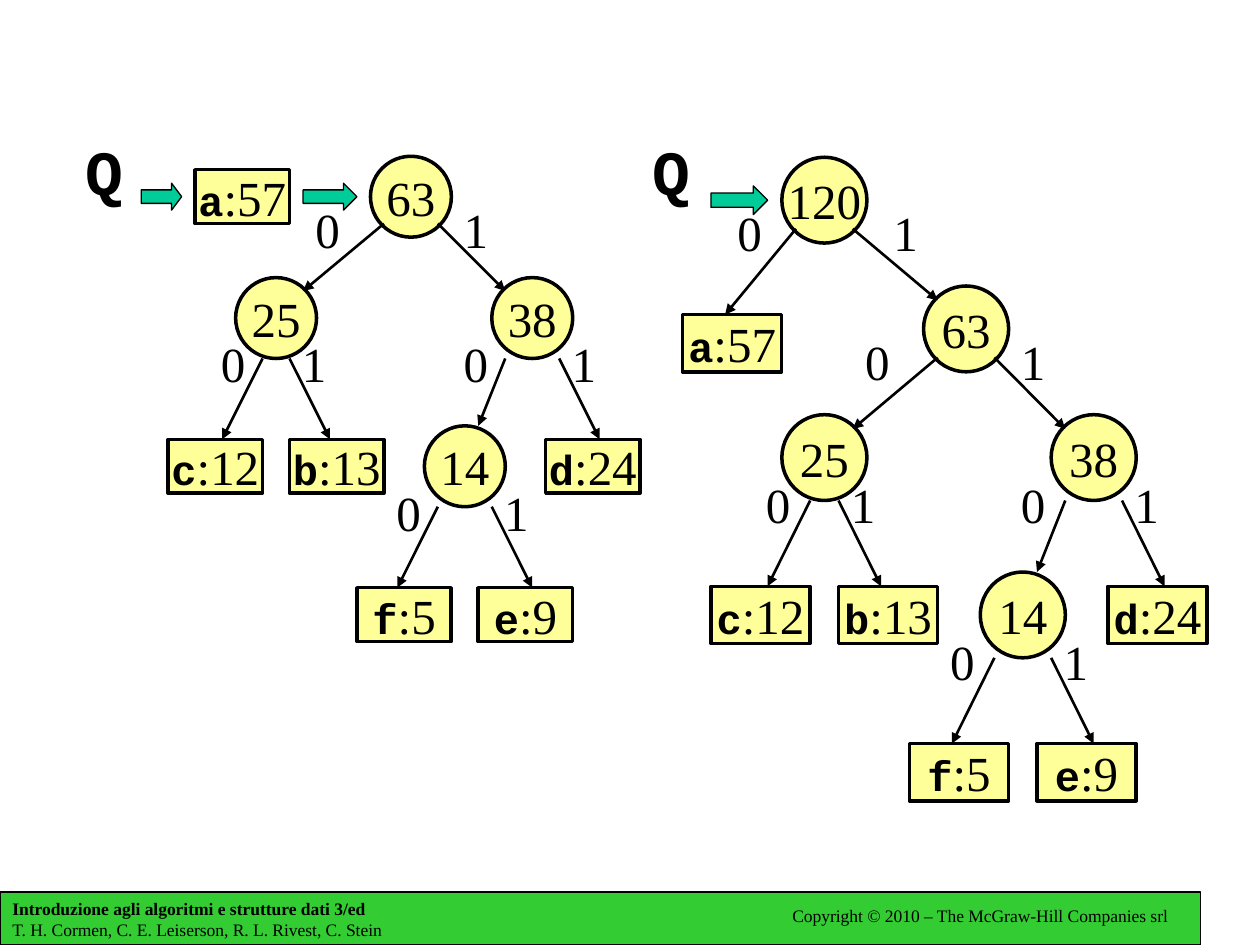
import pptx
import pptx.util
import pptx.dml.color
import pptx.enum.shapes
import pptx.enum.text
import lxml.etree
from dataclasses import dataclass

SHAPE = pptx.enum.shapes.MSO_SHAPE
ALIGN = pptx.enum.text.PP_ALIGN
ANCHOR = pptx.enum.text.MSO_ANCHOR
SERIF, MONO = "Times New Roman", "Courier New"
BLACK, YELLOW, TEAL, GREEN = "000000", "FFFF99", "00CC99", "33CC33"


@dataclass
class Grid:
    """Cell grid whose origin is the top left corner of the node 63."""
    left: float
    top: float
    col: float
    row: float

    def at(self, col, row):
        return self.left + col * self.col, self.top + row * self.row

    def box(self, col, row, cols, rows):
        return *self.at(col, row), cols * self.col, rows * self.row


def rgb(value):
    return pptx.dml.color.RGBColor.from_string(value)


def inches(values):
    return [pptx.util.Inches(v) for v in values]


def set_font(font, size, name=SERIF, bold=False):
    font.size, font.name, font.bold = pptx.util.Pt(size), name, bold
    font.color.rgb = rgb(BLACK)


def add_shape(s, kind, box, fill, line_width):
    sp = s.shapes.add_shape(kind, *inches(box))
    sp.shadow.inherit = False
    sp.fill.solid()
    sp.fill.fore_color.rgb = rgb(fill)
    sp.line.color.rgb = rgb(BLACK)
    sp.line.width = pptx.util.Pt(line_width)
    return sp


def centred_paragraph(sp):
    tf = sp.text_frame
    tf.word_wrap = False
    tf.vertical_anchor = ANCHOR.MIDDLE
    p = tf.paragraphs[0]
    p.alignment = ALIGN.CENTER
    return p


def add_node(s, grid, col, row, text):
    sp = add_shape(s, SHAPE.OVAL, grid.box(col, row, 6, 6), YELLOW, 2)
    p = centred_paragraph(sp)
    p.text = text
    set_font(p.font, 28)


def add_leaf(s, grid, col, row, letter, count):
    sp = add_shape(s, SHAPE.RECTANGLE, grid.box(col, row, 7, 4), YELLOW, 2)
    p = centred_paragraph(sp)
    for text, style in ((letter, (24, MONO, True)), (f":{count}", (28,))):
        r = p.add_run()
        r.text = text
        set_font(r.font, *style)


def add_edge(s, grid, start, end):
    cx = s.shapes.add_connector(pptx.enum.shapes.MSO_CONNECTOR.STRAIGHT,
                                *inches(grid.at(*start) + grid.at(*end)))
    cx.line.color.rgb = rgb(BLACK)
    cx.line.width = pptx.util.Pt(1.5)
    tail = pptx.oxml.ns.qn("a:tailEnd")
    lxml.etree.SubElement(cx.line._get_or_add_ln(), tail, type="triangle")
    lxml.etree.SubElement(cx._element.spPr, pptx.oxml.ns.qn("a:effectLst"))


def add_text(s, box, text, size, name=SERIF, bold=False, anchor=ANCHOR.MIDDLE):
    tf = s.shapes.add_textbox(*inches(box)).text_frame
    tf.word_wrap = False
    tf.vertical_anchor = anchor
    p = tf.paragraphs[0]
    p.text = text
    set_font(p.font, size, name, bold)


def add_bit(s, grid, col, row, bit):
    add_text(s, (*grid.at(col, row + 0.7), 0.4, 0.57), bit, 28)


def add_queue_arrow(s, grid, col, row, cols, head):
    sp = add_shape(s, SHAPE.RIGHT_ARROW, grid.box(col, row, cols, 2), TEAL, 0.75)
    sp.adjustments[1] = head


def add_tree_63(s, grid):
    """Draw the subtree that both halves of the slide share."""
    for node in ((0, 0, "63"), (-10, 9, "25"), (9, 9, "38"), (4, 20, "14")):
        add_node(s, grid, *node)
    for leaf in ((-15, 21, "c", 12), (-6, 21, "b", 13), (13, 21, "d", 24),
                 (-1, 32, "f", 5), (8, 32, "e", 9)):
        add_leaf(s, grid, *leaf)
    for edge in (((1, 5), (-5, 10)), ((5, 5), (10, 10)),
                 ((-8, 15), (-11, 21)), ((-6, 15), (-3, 21)),
                 ((10, 15), (8, 20)), ((14, 15), (17, 21)),
                 ((5, 26), (2, 32)), ((9, 26), (12, 32))):
        add_edge(s, grid, *edge)
    for row, zero, one in ((2, -5, 6), (12, -12, -6), (12, 6, 14), (23, 1, 9)):
        add_bit(s, grid, zero, row, "0")
        add_bit(s, grid, one, row, "1")


def add_queue_label(s, left):
    add_text(s, (left, 1, 0.5, 0.7), "Q", 36, MONO, True)


def add_left_step(s):
    grid = Grid(2.94, 1.24, 0.107, 0.107)
    add_tree_63(s, grid)
    add_leaf(s, grid, -13, 1, "a", 57)
    add_queue_label(s, 0.58)
    add_queue_arrow(s, grid, -17, 2, 3, 0.375)
    add_queue_arrow(s, grid, -5, 2, 4, 0.5)


def add_right_step(s):
    grid = Grid(7.33, 2.27, 0.1125, 0.1135)
    add_tree_63(s, grid)
    add_node(s, grid, -10, -9, "120")
    add_leaf(s, grid, -17, 2, "a", 57)
    add_edge(s, grid, (-9, -4), (-14, 2))
    add_edge(s, grid, (-5, -4), (1, 1))
    add_bit(s, grid, -14, -7, "0")
    add_bit(s, grid, -3, -7, "1")
    add_queue_label(s, 5.08)
    add_queue_arrow(s, grid, -15, -7, 4, 0.5)


def add_footer(s):
    sp = add_shape(s, SHAPE.RECTANGLE, (0, 7.08, 9.53, 0.42), GREEN, 0.75)
    tf = sp.text_frame
    tf.vertical_anchor = ANCHOR.MIDDLE
    p = tf.paragraphs[0]
    p.alignment = ALIGN.LEFT
    title = p.add_run()
    title.text = "Introduzione agli algoritmi e strutture dati 3/ed"
    set_font(title.font, 10, bold=True)
    p.add_line_break()
    authors = p.add_run()
    authors.text = "T. H. Cormen, C. E. Leiserson, R. L. Rivest, C. Stein"
    set_font(authors.font, 10)
    add_text(s, (6.19, 7.13, 3.2, 0.27),
             "Copyright © 2010 – The McGraw-Hill Companies srl", 10,
             anchor=ANCHOR.TOP)


def main():
    prs = pptx.Presentation()
    prs.slide_width, prs.slide_height = inches((10, 7.5))
    s = prs.slides.add_slide(prs.slide_layouts[6])
    add_footer(s)
    add_left_step(s)
    add_right_step(s)
    prs.save("out.pptx")


if __name__ == "__main__":
    main()
